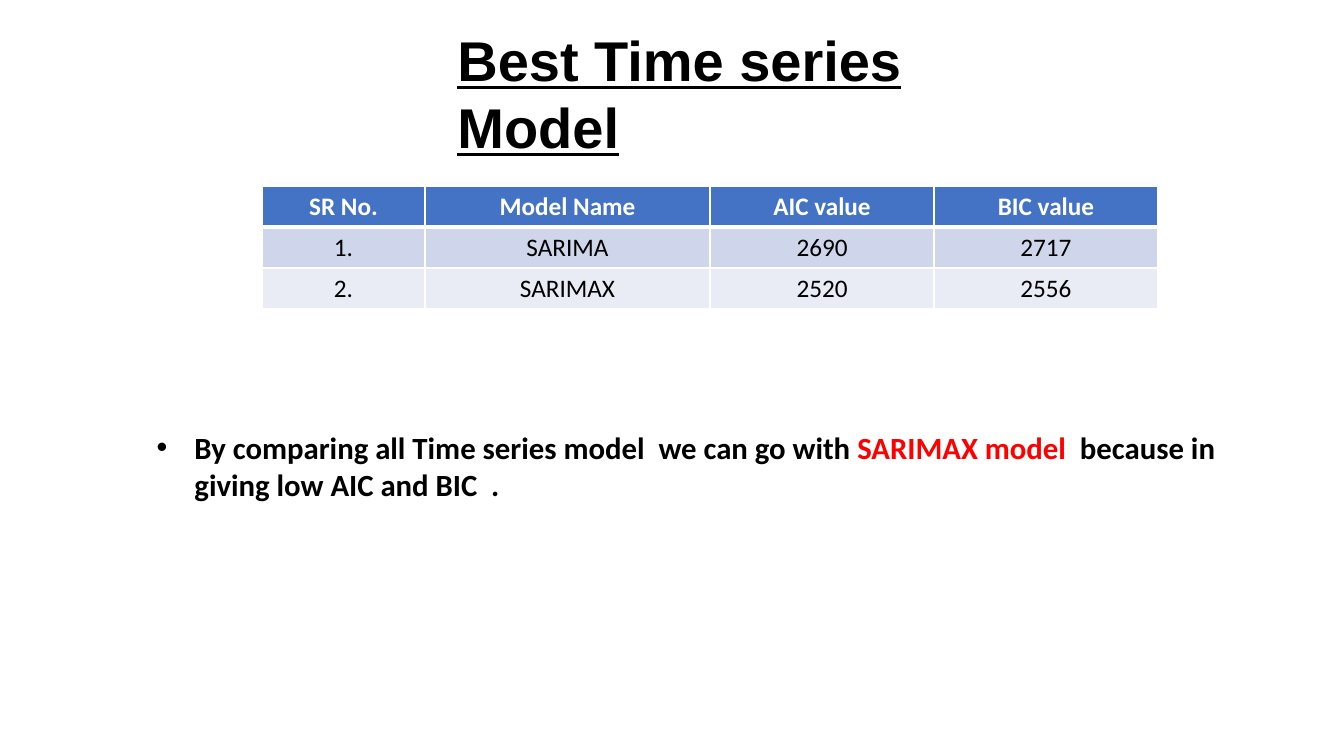
from lxml.etree import SubElement as Sub
from pptx import Presentation
from pptx.dml.color import RGBColor
from pptx.enum.text import MSO_ANCHOR as Anchor, PP_ALIGN as Align
from pptx.oxml.ns import qn
from pptx.util import Pt

BLACK, WHITE, RED = "000000", "FFFFFF", "FF0000"
HEAD, BANDS = "4472C4", ("CFD5EA", "E9EBF5")
ROWS = [
    ("SR No.", "Model Name", "AIC value", "BIC value"),
    ("1.", "SARIMA", "2690", "2717"),
    ("2.", "SARIMAX", "2520", "2556"),
]
WIDTHS = (116.4, 203.6, 160, 160)
NOTE = [
    ("By comparing all Time series model  we can go with", BLACK),
    (" SARIMAX model  ", RED),
    ("because in giving low AIC and BIC  .", BLACK),
]


def paint(part, color):
    """Give a fill or font a solid colour from a hex string."""
    if hasattr(part, "solid"):
        part.solid()
        part.fore_color.rgb = RGBColor.from_string(color)
    else:
        part.color.rgb = RGBColor.from_string(color)


def add_run(para, text, color, style):
    """Add a run with the given colour and font attributes."""
    run = para.add_run()
    run.text = text
    for key, value in style.items():
        setattr(run.font, key, value)
    paint(run.font, color)


def add_text(slide, box, runs, style):
    """Add a wrapping text box and return its paragraph."""
    frame = slide.shapes.add_textbox(*map(Pt, box)).text_frame
    frame.word_wrap = True
    para = frame.paragraphs[0]
    for text, color in runs:
        add_run(para, text, color, style)
    return para


def add_bullet(para, indent):
    """Give a paragraph a round bullet and a hanging indent."""
    props = para._p.get_or_add_pPr()
    props.set("marL", str(Pt(indent)))
    props.set("indent", str(-Pt(indent)))
    Sub(props, qn("a:buFont"), typeface="Arial")
    Sub(props, qn("a:buChar"), char="•")


def add_edges(cell, edges):
    """Draw white cell borders from a dict of side and width."""
    props = cell._tc.get_or_add_tcPr()
    for side, width in edges.items():
        line = Sub(props, qn(f"a:ln{side}"), w=str(Pt(width)))
        fill = Sub(line, qn("a:solidFill"))
        Sub(fill, qn("a:srgbClr"), val=WHITE)


def add_grid(slide, left, top, high):
    """Add the table of model scores."""
    size = map(Pt, (left, top, sum(WIDTHS), high * len(ROWS)))
    grid = slide.shapes.add_table(len(ROWS), len(WIDTHS), *size).table
    for col, width in zip(grid.columns, WIDTHS):
        col.width = Pt(width)
    for r, row in enumerate(ROWS):
        first = r == 0
        back = HEAD if first else BANDS[(r - 1) % 2]
        style = {"name": "Calibri", "size": Pt(18), "bold": first}
        edges = {"L": 1, "R": 1, "T": 3 if r == 1 else 1, "B": 3 if first else 1}
        for c, text in enumerate(row):
            cell = grid.cell(r, c)
            cell.vertical_anchor = Anchor.TOP
            add_edges(cell, edges)
            paint(cell.fill, back)
            para = cell.text_frame.paragraphs[0]
            para.alignment = Align.CENTER
            add_run(para, text, WHITE if first else BLACK, style)


def main():
    """Build the slide and save it."""
    deck = Presentation()
    deck.slide_width, deck.slide_height = Pt(960), Pt(540)
    slide = deck.slides.add_slide(deck.slide_layouts[6])
    bold = {"name": "Arial", "size": Pt(40), "bold": True, "underline": True}
    title = [("Best Time series Model", BLACK)]
    add_text(slide, (319.7, 14.4, 423.4, 55.4), title, bold)
    plain = {"name": "Calibri", "size": Pt(22), "bold": True}
    note = add_text(slide, (104.8, 302.7, 826.6, 60.5), NOTE, plain)
    add_bullet(note, 27)
    add_grid(slide, 187.2, 133, 29.2)
    deck.save("out.pptx")


main()
